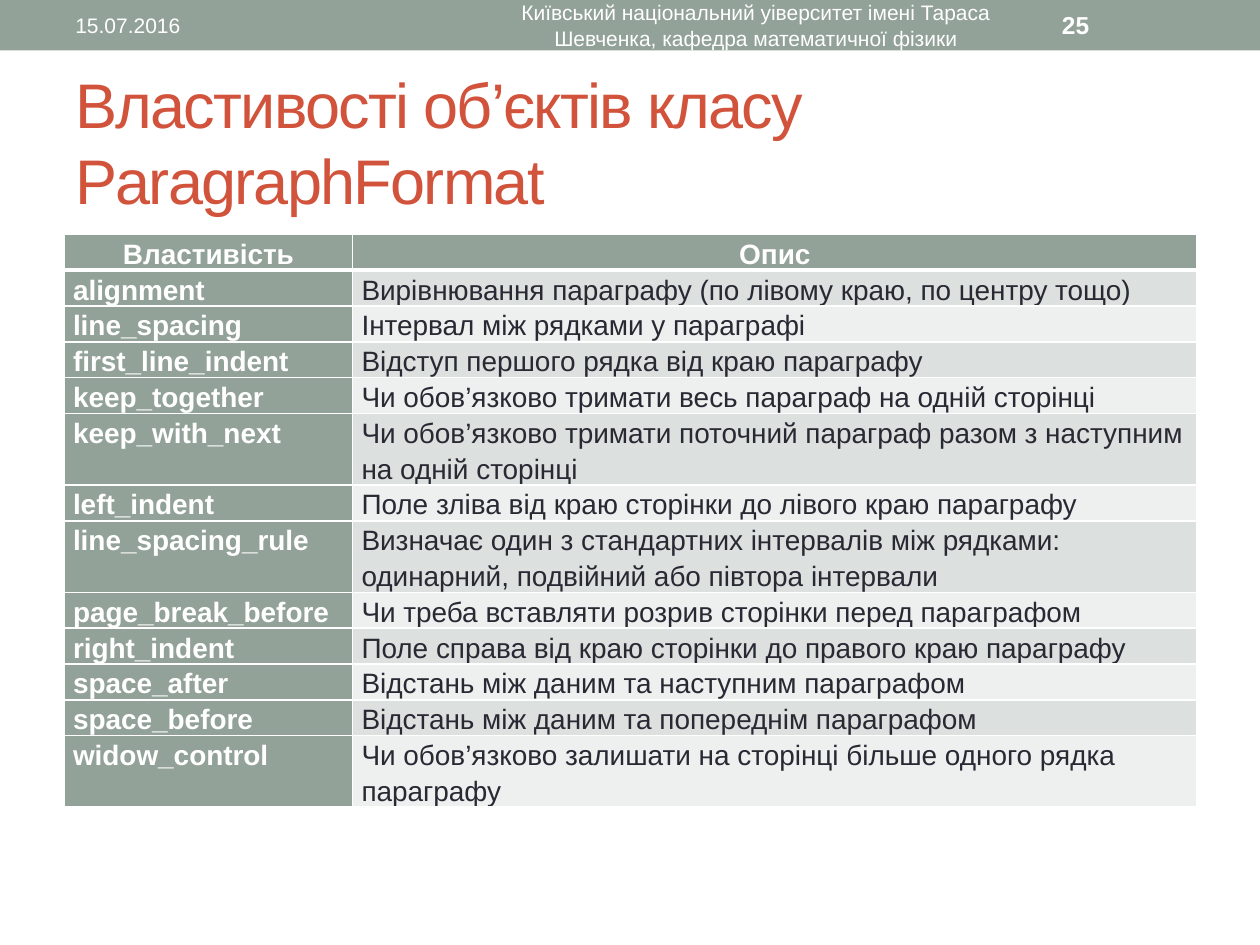
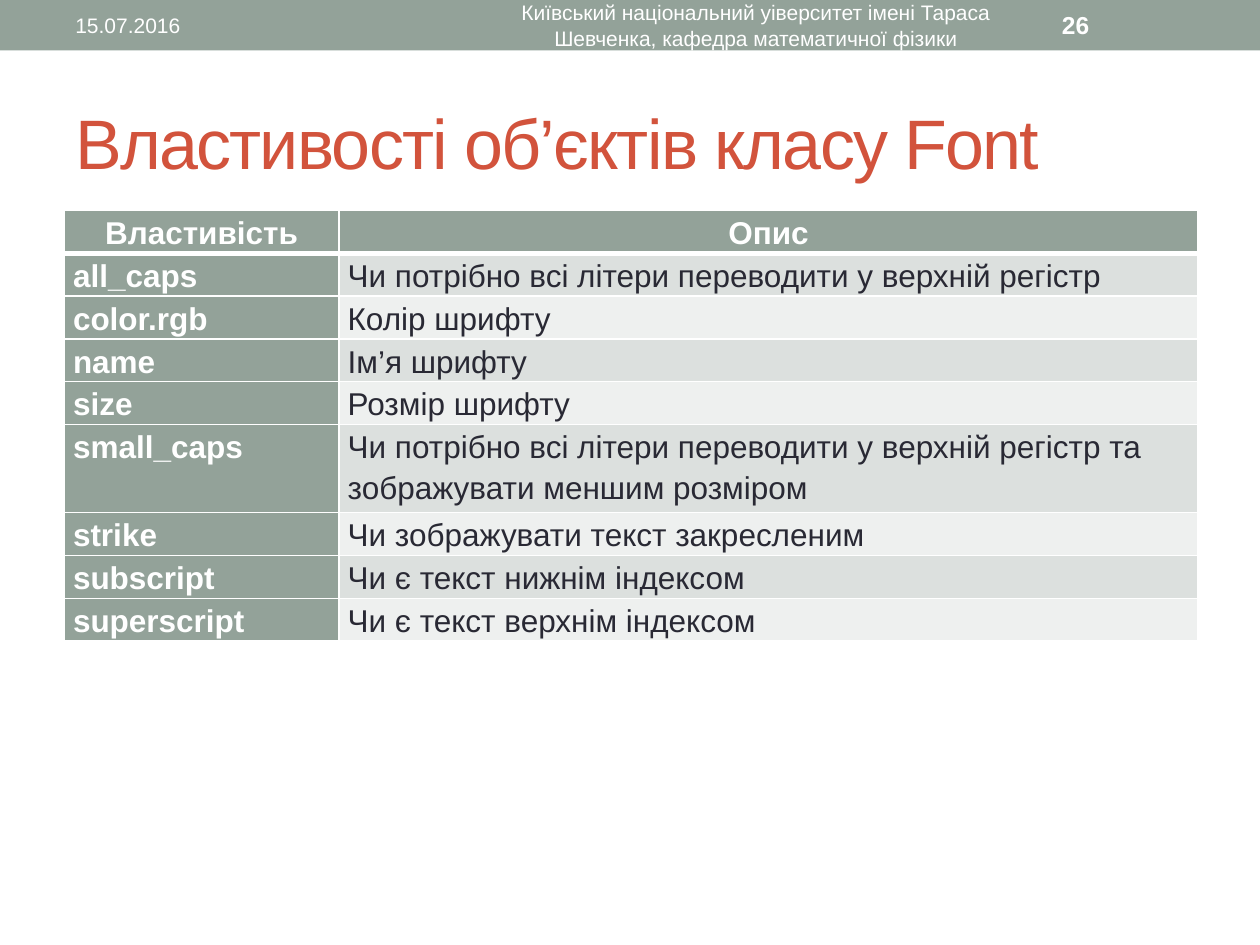
from lxml import etree
from pptx import Presentation
from pptx import util as u
from pptx.dml import color
from pptx.enum import shapes, text
from pptx.oxml import ns

COLORS = {"band": "93A299", "title": "D2533C", "white": "FFFFFF", "ink": "292934",
          "odd": "DCE0DE", "even": "EEF0EF"}
FONT = "Arial"
DATE = "15.07.2016"
FOOTER = "Київський національний уіверситет імені Тараса Шевченка, кафедра математичної фізики"
HEADER = ("Властивість", "Опис")
LEFT, CENTER = text.PP_ALIGN.LEFT, text.PP_ALIGN.CENTER

SLIDES = [
    {
        "number": 25, "title": "Властивості об’єктів класу ParagraphFormat", "title_size": 36,
        "top": 1.86, "columns": (2.29, 6.7), "size": 16, "leading": 20.45,
        "row": 0.26, "tall_row": 0.53,
        "tall": {"keep_with_next", "line_spacing_rule", "widow_control"},
        "properties": [
            ("alignment", "Вирівнювання параграфу (по лівому краю, по центру тощо)"),
            ("line_spacing", "Інтервал між рядками у параграфі"),
            ("first_line_indent", "Відступ першого рядка від краю параграфу"),
            ("keep_together", "Чи обов’язково тримати весь параграф на одній сторінці"),
            ("keep_with_next", "Чи обов’язково тримати поточний параграф разом з наступним на одній сторінці"),
            ("left_indent", "Поле зліва від краю сторінки до лівого краю параграфу"),
            ("line_spacing_rule", "Визначає один з стандартних інтервалів між рядками: "
                                  "одинарний, подвійний або півтора інтервали"),
            ("page_break_before", "Чи треба вставляти розрив сторінки перед параграфом"),
            ("right_indent", "Поле справа від краю сторінки до правого краю параграфу"),
            ("space_after", "Відстань між даним та наступним параграфом"),
            ("space_before", "Відстань між даним та попереднім параграфом"),
            ("widow_control", "Чи обов’язково залишати на сторінці більше одного рядка параграфу"),
        ],
    },
    {
        "number": 26, "title": "Властивості об’єктів класу Font", "title_size": 40,
        "top": 1.67, "columns": (2.18, 6.82), "size": 18, "leading": 23.4,
        "row": 0.34, "tall_row": 0.7,
        "tall": {"small_caps"},
        "properties": [
            ("all_caps", "Чи потрібно всі літери переводити у верхній регістр"),
            ("color.rgb", "Колір шрифту"),
            ("name", "Ім’я шрифту"),
            ("size", "Розмір шрифту"),
            ("small_caps", "Чи потрібно всі літери переводити у верхній регістр та "
                           "зображувати меншим розміром"),
            ("strike", "Чи зображувати текст закресленим"),
            ("subscript", "Чи є текст нижнім індексом"),
            ("superscript", "Чи є текст верхнім індексом"),
        ],
    },
]


def rgb(name):
    return color.RGBColor.from_string(COLORS[name])


def write(tf, content, size, fill, bold=False, align=LEFT):
    tf.text = content
    p = tf.paragraphs[0]
    p.alignment = align
    f = p.runs[0].font
    f.name, f.size, f.bold = FONT, u.Pt(size), bold
    f.color.rgb = rgb(fill)
    return p


def add_text(s, box, content, size, fill, **style):
    tf = s.shapes.add_textbox(*map(u.Inches, box)).text_frame
    tf.word_wrap = True
    tf.vertical_anchor = text.MSO_ANCHOR.MIDDLE
    return write(tf, content, size, fill, **style)


def add_frame(s, d):
    sp = s.shapes.add_shape(shapes.MSO_SHAPE.RECTANGLE, 0, 0, u.Inches(10), u.Inches(0.4))
    sp.shadow.inherit = False
    sp.fill.solid()
    sp.fill.fore_color.rgb = rgb("band")
    sp.line.fill.background()
    p = add_text(s, (0.5, 0.58, 9, 1.08), d["title"], d["title_size"], "title")
    p.runs[0].font._element.set("spc", "-100")
    add_text(s, (0.5, 0.02, 3.17, 0.36), DATE, 12, "white")
    add_text(s, (3.75, 0.02, 4.5, 0.36), FOOTER, 12, "white", align=CENTER)
    add_text(s, (8.33, 0.02, 1.17, 0.36), str(d["number"]), 14, "white", bold=True)


def set_borders(cell, widths):
    tc_pr = cell._tc.get_or_add_tcPr()
    for i, (side, width) in enumerate(zip("LRTB", widths)):
        ln = etree.Element(ns.qn(f"a:ln{side}"), w=str(u.Pt(width)))
        fill = etree.SubElement(ln, ns.qn("a:solidFill"))
        etree.SubElement(fill, ns.qn("a:srgbClr"), val=COLORS["white"])
        tc_pr.insert(i, ln)


def fill_cell(cell, content, row, col, d):
    label = row == 0 or col == 0
    cell.margin_left = cell.margin_right = u.Inches(0.07)
    cell.margin_top = cell.margin_bottom = 0
    p = write(cell.text_frame, content, d["size"], "white" if label else "ink",
              bold=label, align=LEFT if row else CENTER)
    p.line_spacing = u.Pt(d["leading"])
    cell.fill.solid()
    cell.fill.fore_color.rgb = rgb("band" if label else "odd" if row % 2 else "even")
    set_borders(cell, (1, 1, 3 if row == 1 else 1, 1 if row else 3))


def add_properties(s, d):
    rows = [HEADER] + d["properties"]
    heights = [d["tall_row"] if name in d["tall"] else d["row"] for name, _ in rows]
    box = (0.51, d["top"], sum(d["columns"]), sum(heights))
    table = s.shapes.add_table(len(rows), len(HEADER), *map(u.Inches, box)).table
    for column, width in zip(table.columns, d["columns"]):
        column.width = u.Inches(width)
    for i, (values, height) in enumerate(zip(rows, heights)):
        table.rows[i].height = u.Inches(height)
        for j, value in enumerate(values):
            fill_cell(table.cell(i, j), value, i, j, d)


def main():
    prs = Presentation()
    prs.slide_width, prs.slide_height = u.Inches(10), u.Inches(7.5)
    for d in SLIDES:
        s = prs.slides.add_slide(prs.slide_layouts[6])
        add_frame(s, d)
        add_properties(s, d)
    prs.save("out.pptx")


if __name__ == "__main__":
    main()
